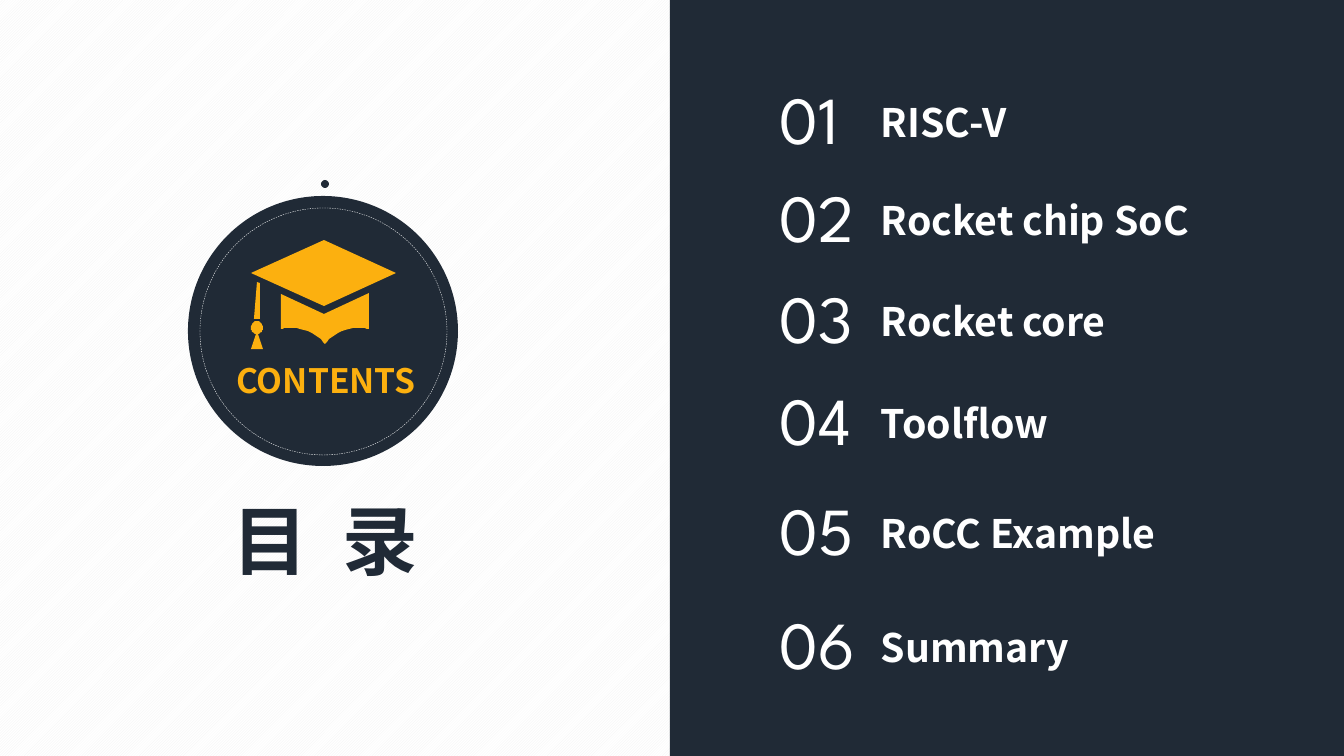
from lxml import etree
from pptx import Presentation
from pptx.dml.color import RGBColor
from pptx.enum.dml import MSO_LINE, MSO_PATTERN
from pptx.enum.shapes import MSO_SHAPE as SHAPE
from pptx.enum.text import MSO_ANCHOR as ANCHOR, PP_ALIGN as ALIGN
from pptx.oxml.ns import qn
from pptx.util import Pt

HEADING = "目 录"
BADGE_LABEL = "CONTENTS"
TOPICS = [
    ("RISC-V", 72),
    ("Rocket chip SoC", 170),
    ("Rocket core", 271),
    ("Toolflow", 373),
    ("RoCC Example", 483),
    ("Summary", 597),
]
COLORS = {"navy": "202A36", "gold": "FCB00F", "white": "FFFFFF", "stripe": "F2F2F2"}
TEXT_FONT = "Noto Sans CJK SC"
NUMBER_FONT = "League Spartan"
BADGE_CIRCLES = [(188, 196, 270), (321, 180, 8)]
BADGE_RING = (200, 208, 247)

CAP_OUTLINES = [
    [(324, 240), (251, 273), (324, 306), (396, 273)],
    [(281, 329),
     ((285, 328), (288, 328), (293, 328)),
     ((305, 328), (320, 336), (325, 344)),
     ((331, 336), (344, 328), (357, 328)),
     ((361, 328), (365, 328), (369, 329)),
     (369, 293), (324, 314), (281, 294)],
    [(257, 282), (254, 319), (260, 319), (260, 283)],
    [(263, 349), (258, 334),
     ((261, 333), (263, 331), (263, 328)),
     ((263, 324), (260, 321), (257, 321)),
     ((254, 321), (251, 324), (251, 328)),
     ((251, 331), (253, 333), (256, 334)),
     (251, 349)],
]
CURVE_STEPS = 10
EMU_PER_PX = 914400 / 100.8


def px(*lengths):
    return [round(length * EMU_PER_PX) for length in lengths]


def rgb(color):
    return RGBColor.from_string(COLORS[color])


def write(box, text, size, color, font=TEXT_FONT, bold=True,
          align=ALIGN.LEFT, anchor=ANCHOR.TOP, wrap=True):
    frame = box.text_frame
    frame.word_wrap = wrap
    frame.vertical_anchor = anchor
    paragraph = frame.paragraphs[0]
    run = paragraph.add_run()
    run.text = text
    paragraph.alignment = align
    paragraph.font.name = font
    paragraph.font.size = Pt(size)
    paragraph.font.bold = bold
    paragraph.font.color.rgb = rgb(color)
    properties = run._r.get_or_add_rPr()
    etree.SubElement(properties, qn("a:ea")).set("typeface", font)
    return properties


def paint(shape, color):
    shape.shadow.inherit = False
    shape.fill.solid()
    shape.fill.fore_color.rgb = rgb(color)
    shape.line.fill.background()


def flatten(outline):
    points = [outline[0]]
    for step in outline[1:]:
        if len(step) == 2:
            points.append(step)
            continue
        controls = (points[-1], *step)
        for i in range(1, CURVE_STEPS + 1):
            t = i / CURVE_STEPS
            weights = ((1 - t) ** 3, 3 * t * (1 - t) ** 2, 3 * t * t * (1 - t), t ** 3)
            points.append(tuple(sum(w * c[axis] for w, c in zip(weights, controls))
                                for axis in (0, 1)))
    return points


def add_cap(shapes):
    first, *others = [flatten(outline) for outline in CAP_OUTLINES]
    builder = shapes.build_freeform(*first[0], scale=EMU_PER_PX)
    builder.add_line_segments(first[1:], close=True)
    for points in others:
        builder.move_to(*points[0])
        builder.add_line_segments(points[1:], close=True)
    paint(builder.convert_to_shape(), "gold")


def main():
    deck = Presentation()
    deck.slide_width, deck.slide_height = px(1344, 756)
    slide = deck.slides.add_slide(deck.slide_layouts[5])
    shapes = slide.shapes

    backdrop = slide.background.fill
    backdrop.patterned()
    backdrop.pattern = MSO_PATTERN.LIGHT_UPWARD_DIAGONAL
    backdrop.fore_color.rgb = rgb("stripe")
    backdrop.back_color.rgb = rgb("white")

    heading = shapes.title
    heading.left, heading.top, heading.width, heading.height = px(216, 489, 219, 102)
    write(heading, HEADING, 54, "navy", align=ALIGN.CENTER, wrap=False).set("spc", "600")

    paint(shapes.add_shape(SHAPE.RECTANGLE, *px(670, 0, 674, 756)), "navy")
    for left, top, size in BADGE_CIRCLES:
        paint(shapes.add_shape(SHAPE.OVAL, *px(left, top, size, size)), "navy")

    label = shapes.add_textbox(*px(195, 354, 262, 52))
    write(label, BADGE_LABEL, 24, "gold", align=ALIGN.CENTER, anchor=ANCHOR.MIDDLE)

    left, top, size = BADGE_RING
    ring = shapes.add_shape(SHAPE.OVAL, *px(left, top, size, size))
    ring.shadow.inherit = False
    ring.fill.background()
    ring.line.color.rgb = rgb("white")
    ring.line.width = Pt(0.25)
    ring.line.dash_style = MSO_LINE.DASH
    add_cap(shapes)

    for number, (topic, top) in enumerate(TOPICS, 1):
        number_box = shapes.add_textbox(*px(770, top, 133, 92))
        write(number_box, f"{number:02}", 48, "white", font=NUMBER_FONT, bold=False)
        topic_box = shapes.add_textbox(*px(871, top + 21, 422, 57))
        write(topic_box, topic, 28, "white")

    deck.save("out.pptx")


if __name__ == "__main__":
    main()
